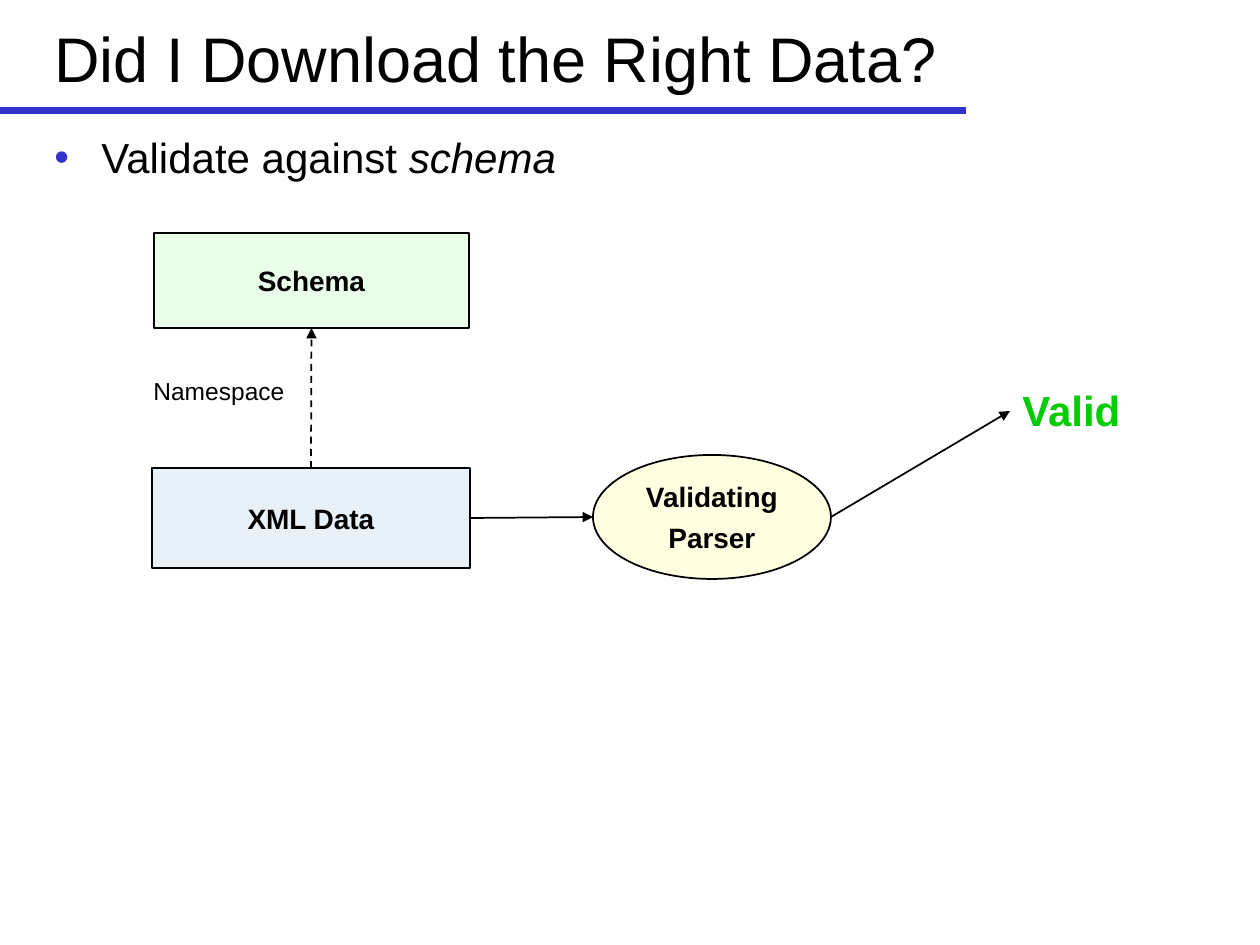
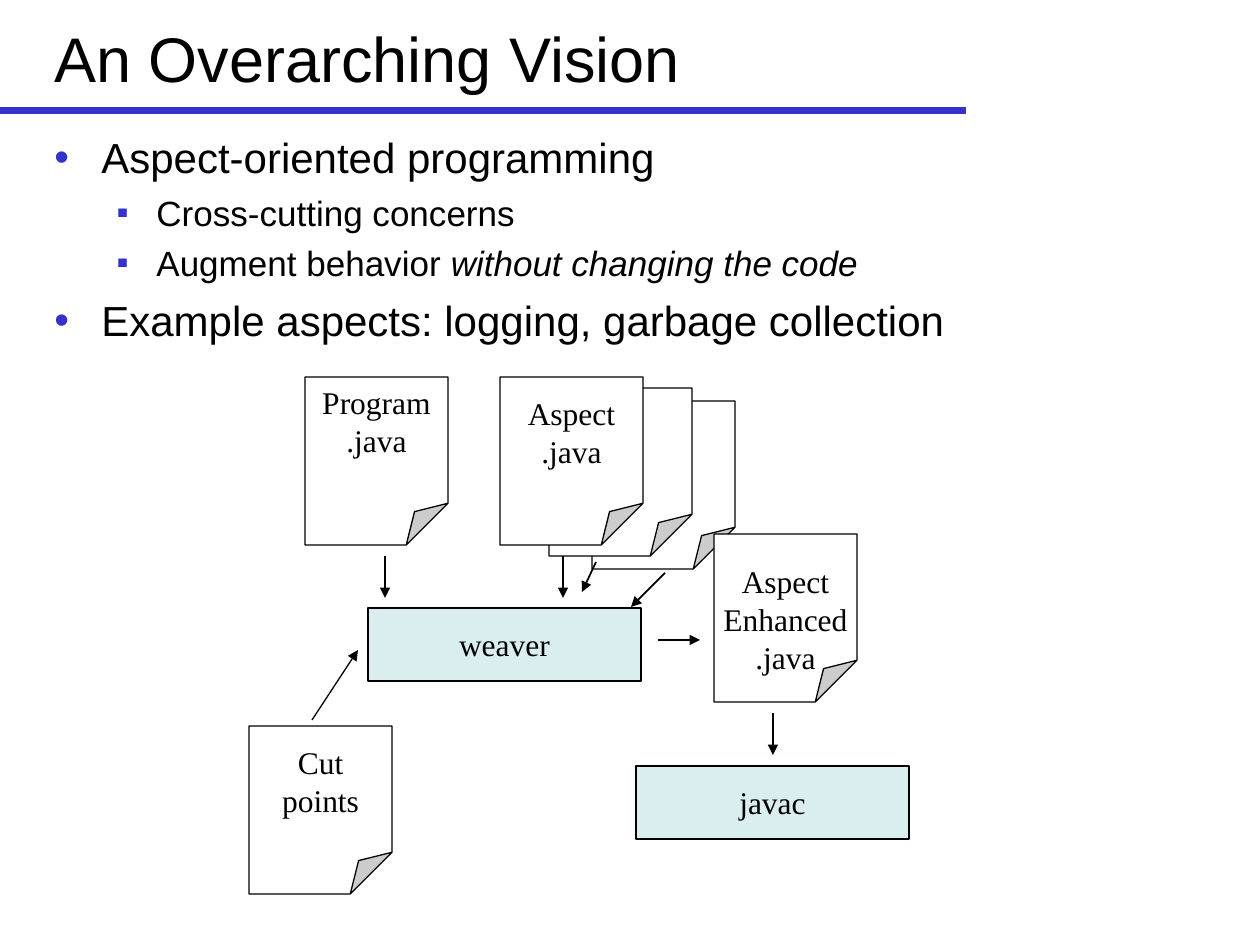
import pptx
import pptx.util
import pptx.dml.color
import pptx.enum.dml
import pptx.enum.shapes
import pptx.enum.text
import pptx.oxml.ns
import lxml.etree

RGB = pptx.dml.color.RGBColor
BLACK = RGB(0x00, 0x00, 0x00)
WHITE = RGB(0xFF, 0xFF, 0xFF)
BLUE = RGB(0x33, 0x33, 0xCC)
GREEN = RGB(0x00, 0xCC, 0x00)
PALE_BLUE = RGB(0xE8, 0xF0, 0xF8)
PALE_GREEN = RGB(0xE9, 0xFF, 0xE9)
PALE_YELLOW = RGB(0xFF, 0xFF, 0xE1)
PALE_TEAL = RGB(0xDA, 0xEE, 0xF0)

SHAPE = pptx.enum.shapes.MSO_SHAPE
ALIGN = pptx.enum.text.PP_ALIGN
ANCHOR = pptx.enum.text.MSO_ANCHOR
Pt = pptx.util.Pt
qn = pptx.oxml.ns.qn
PX = 914400 / 126  # EMU per px

# Bullet levels: character, size %, left margin px, hanging px, font pt, space before pt
LEVELS = [("•", 100, 47, 47, 24, 6), ("■", 50, 102, 39, 20, 5)]


def write(sp, text, size=18, font="Arial", color=BLACK, bold=False, align=ALIGN.LEFT,
          anchor=ANCHOR.TOP, top=6, before=0, wrap=False, levels=None):
    """Fill a shape with text; *stars* mark italics, levels adds bullets."""
    tf = sp.text_frame
    tf.word_wrap = wrap
    tf.vertical_anchor = anchor
    tf.margin_top = round(top * PX)
    for i, line in enumerate(text.split("\n")):
        p = tf.add_paragraph() if i else tf.paragraphs[0]
        p.alignment = align
        if levels:
            char, percent, left, hang, size, before = LEVELS[levels[i]]
            p.level = levels[i]
            pPr = p._p.get_or_add_pPr()
            pPr.set("marL", str(round(left * PX)))
            pPr.set("indent", str(round(-hang * PX)))
            buClr = lxml.etree.SubElement(pPr, qn("a:buClr"))
            lxml.etree.SubElement(buClr, qn("a:srgbClr"), val=str(BLUE))
            lxml.etree.SubElement(pPr, qn("a:buSzPct"), val=str(percent * 1000))
            lxml.etree.SubElement(pPr, qn("a:buFont"), typeface="Arial")
            lxml.etree.SubElement(pPr, qn("a:buChar"), char=char)
        if i:
            p.space_before = Pt(before)
        for j, part in enumerate(line.split("*")):
            if part:
                r = p.add_run()
                r.text = part
                r.font.name = font
                r.font.size = Pt(size)
                r.font.bold = bold
                r.font.italic = j % 2 == 1
                r.font.color.rgb = color


def draw(slide, kind, box, fill=None, color=BLACK, width=1, arrow=True, dash=False):
    """Draw a preset shape at (left, top, width, height) or a line (x1, y1, x2, y2)."""
    box = [round(v * PX) for v in box]
    if kind == "text":
        return slide.shapes.add_textbox(*box)
    if kind == "line":
        sp = slide.shapes.add_connector(pptx.enum.shapes.MSO_CONNECTOR.STRAIGHT, *box)
        lxml.etree.SubElement(sp._element.spPr, qn("a:effectLst"))
    else:
        sp = slide.shapes.add_shape(kind, *box)
        sp.shadow.inherit = False
        sp.fill.solid()
        sp.fill.fore_color.rgb = fill
    sp.line.color.rgb = color
    sp.line.width = Pt(width)
    if dash:
        sp.line.dash_style = pptx.enum.dml.MSO_LINE.DASH
    if kind == "line" and arrow:
        lxml.etree.SubElement(sp.line._get_or_add_ln(), qn("a:tailEnd"), type="triangle")
    return sp


prs = pptx.Presentation()
prs.slide_width = round(1260 * PX)
prs.slide_height = round(945 * PX)

# Title, rule and bullets on both slides
contents = [
    ("Did I Download the Right Data?", "Validate against *schema*", [0]),
    ("An Overarching Vision",
     "Aspect-oriented programming\nCross-cutting concerns\n"
     "Augment behavior *without changing the code*\n"
     "Example aspects: logging, garbage collection", [0, 1, 1, 0]),
]
for title, bullets, levels in contents:
    s = prs.slides.add_slide(prs.slide_layouts[6])
    draw(s, "line", (0, 111, 966, 111), color=BLUE, width=4, arrow=False)
    write(draw(s, "text", (42, 5, 939, 105)), title, size=36, anchor=ANCHOR.MIDDLE, wrap=True)
    write(draw(s, "text", (42, 126, 1166, 746)), bullets, levels=levels, wrap=True)
validation, weaving = prs.slides

# Validation: boxes
nodes = {}
for text, kind, box, fill in [
    ("XML Data", SHAPE.RECTANGLE, (152, 468, 318, 100), PALE_BLUE),
    ("Schema", SHAPE.RECTANGLE, (154, 233, 315, 95), PALE_GREEN),
    ("Validating\nParser", SHAPE.OVAL, (593, 455, 238, 124), PALE_YELLOW),
]:
    sp = nodes[text] = draw(validation, kind, box, fill)
    write(sp, text, size=16, bold=True, align=ALIGN.CENTER, anchor=ANCHOR.MIDDLE, before=4)

# Validation: arrows and labels
namespace = draw(validation, "line", (311, 468, 312, 328), dash=True)
namespace.begin_connect(nodes["XML Data"], 0)
namespace.end_connect(nodes["Schema"], 2)
to_parser = draw(validation, "line", (470, 518, 593, 517))
to_parser.begin_connect(nodes["XML Data"], 3)
draw(validation, "line", (831, 517, 1010, 411))
write(draw(validation, "text", (141, 370, 156, 43)), "Namespace", size=14)
write(draw(validation, "text", (1010, 379, 125, 63)), "Valid", size=24, color=GREEN, bold=True)

# Weaving: pages, from back to front, with the arrows of the two rear aspects
for left, top, text, inset, rear_arrow in [
    (592, 401, "", 6, (596, 562, 582, 592)),
    (549, 388, "", 6, (665, 573, 631, 607)),
    (500, 377, "Aspect\n.java", 17, None),
    (305, 377, "Program\n.java", 6, None),
    (714, 534, "Aspect\nEnhanced\n.java", 28, None),
    (249, 726, "Cut\npoints", 17, None),
]:
    sp = draw(weaving, SHAPE.FOLDED_CORNER, (left, top, 143, 168), WHITE, width=0.75)
    avLst = sp._element.spPr.find(qn("a:prstGeom")).find(qn("a:avLst"))
    lxml.etree.SubElement(avLst, qn("a:gd"), name="adj", fmla="val 29200")
    if text:
        write(sp, text, font="Times New Roman", align=ALIGN.CENTER, top=inset)
    if rear_arrow:
        draw(weaving, "line", rear_arrow)

# Weaving: tools
for text, left, top in [("weaver", 368, 608), ("javac", 636, 766)]:
    sp = draw(weaving, SHAPE.RECTANGLE, (left, top, 273, 73), PALE_TEAL, width=0.75)
    write(sp, text, font="Times New Roman", align=ALIGN.CENTER, anchor=ANCHOR.MIDDLE)

# Weaving: flow arrows
for ends in [(385, 556, 385, 598), (563, 556, 563, 598), (658, 640, 700, 640),
             (773, 713, 773, 755), (312, 720, 358, 650)]:
    draw(weaving, "line", ends, width=0.75)

prs.save("out.pptx")
